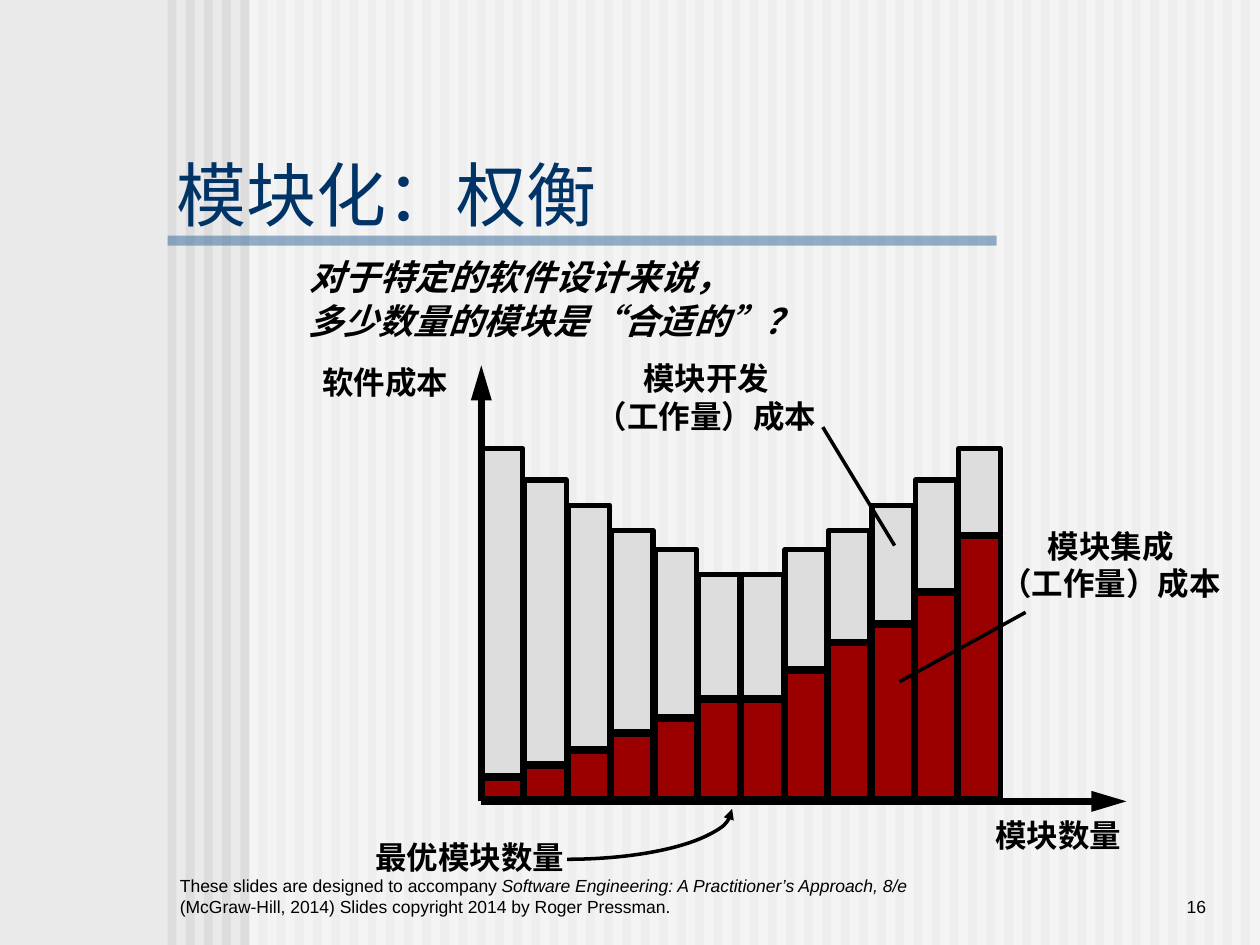
from lxml import etree
from pptx import Presentation
from pptx import util as u
from pptx.dml.color import RGBColor
from pptx.enum import shapes, text
from pptx.oxml import ns

WIDE, HIGH = 10, 7.5
INK, GREY, RED = "000000", "DDDDDD", "9A0000"
STRIPES, LEFT, STEP, THIN = 60, 1.33, 0.1444, 0.07
# Bar grid: first column, column pitch, bar width and foot of the bars
START, PITCH, BAR, BASE = 3.82, 0.3445, 0.33, 6.34
HALF = [3.56, 3.81, 4.01, 4.21, 4.36, 4.56]
TOPS = HALF + HALF[::-1]
SPLITS = [6.18, 6.08, 5.96, 5.83, 5.71, 5.56, 5.56, 5.33, 5.11, 4.96, 4.71, 4.26]
GAP = 0.02


def paint(fmt, color, alpha=None):
    """Give a fill a solid colour, with an opacity in percent if wanted."""
    fmt.solid()
    fmt.fore_color.rgb = RGBColor.from_string(color)
    if alpha:
        node = fmt._xPr.find(".//" + ns.qn("a:srgbClr"))
        etree.SubElement(node, ns.qn("a:alpha")).set("val", str(alpha * 1000))


def place(shape, x, y, w, h):
    shape.left, shape.top = u.Inches(x), u.Inches(y)
    shape.width, shape.height = u.Inches(w), u.Inches(h)


def rect(slide, x, y, w, h, color, alpha=None, edge=None):
    box = slide.shapes.add_shape(shapes.MSO_SHAPE.RECTANGLE, 0, 0, 0, 0)
    place(box, x, y, w, h)
    box.shadow.inherit = False
    paint(box.fill, color, alpha)
    if edge:
        stroke(box.line, edge)
    else:
        box.line.fill.background()


def stroke(line, width):
    paint(line.fill, INK)
    line.width = u.Pt(width)


def arrow(line, end, size="med"):
    """Add an arrowhead; end is headEnd (start) or tailEnd (finish)."""
    ln = line.fill._xPr
    etree.SubElement(ln, ns.qn("a:" + end), type="triangle", w="med", len=size)


def link(slide, x1, y1, x2, y2, width=2, tip=False):
    ends = [u.Inches(n) for n in (x1, y1, x2, y2)]
    line = slide.shapes.add_connector(shapes.MSO_CONNECTOR.STRAIGHT, *ends)
    stroke(line.line, width)
    if tip:
        arrow(line.line, "tailEnd", "lg")
    etree.SubElement(line._element.spPr, ns.qn("a:effectLst"))


def style(para, size, color=INK, bold=False, slant=False, align="LEFT"):
    para.alignment = getattr(text.PP_ALIGN, align)
    font = para.font
    font.name, font.size = "Arial", u.Pt(size)
    font.bold, font.italic = bold, slant
    font.color.rgb = RGBColor.from_string(color)


def label(slide, x, y, w, h, lines, size=18, wrap=False, **look):
    box = slide.shapes.add_textbox(0, 0, 0, 0)
    place(box, x, y, w, h)
    frame = box.text_frame
    frame.word_wrap = wrap
    frame.text = "\n".join(lines)
    if wrap:
        frame.vertical_anchor = text.MSO_ANCHOR.BOTTOM
    else:
        frame.auto_size = text.MSO_AUTO_SIZE.SHAPE_TO_FIT_TEXT
    for para in frame.paragraphs:
        style(para, size, **look)
    return frame


def backdrop(slide):
    paint(slide.background.fill, "EAEAEA")
    for i in range(STRIPES):
        rect(slide, LEFT + i * STEP, 0, THIN, HIGH, GREY)
    rect(slide, 1.98, 0, WIDE - 1.98, HIGH, "FFFFFF", 50)
    rect(slide, LEFT, 1.87, 6.58, 0.08, "336699", 50)


def heading(slide, words):
    title = slide.shapes.title
    place(title, LEFT, 1.17, 3.51, 0.73)
    # Bring the title in front of the backdrop
    title.element.getparent().append(title.element)
    frame = title.text_frame
    frame.text = words
    frame.auto_size = text.MSO_AUTO_SIZE.NONE
    frame.vertical_anchor = text.MSO_ANCHOR.MIDDLE
    frame.margin_left = frame.margin_right = u.Inches(0.07)
    frame.margin_top = frame.margin_bottom = u.Inches(0.03)
    style(frame.paragraphs[0], 40, "003366")


def bars(slide):
    for i, (top, split) in enumerate(zip(TOPS, SPLITS)):
        x = START + i * PITCH
        rect(slide, x, top, BAR, split - GAP - top, GREY, edge=3)
        rect(slide, x, split, BAR, BASE - split, RED, edge=3)


def curve(slide):
    """Quarter ellipse from the best column down to its label."""
    arc = slide.shapes.add_shape(shapes.MSO_SHAPE.ARC, 0, 0, 0, 0)
    place(arc, 3.19, 6.02, 2.62, 0.8)
    arc.adjustments[0], arc.adjustments[1] = 0, 54  # 0 to 90 degrees
    arc.shadow.inherit = False
    arc.fill.background()
    stroke(arc.line, 2)
    arrow(arc.line, "headEnd")


def footer(slide):
    frame = label(slide, LEFT, 6.83, 6, 0.5,
                  ["These slides are designed to accompany "], 10, True)
    para = frame.paragraphs[0]
    book = para.add_run()
    book.text = "Software Engineering: A Practitioner’s Approach, 8/e "
    book.font.italic = True
    para.add_run().text = "(McGraw-Hill, 2014) Slides copyright 2014 by Roger Pressman."
    label(slide, 8.25, 6.83, 1.42, 0.5, ["16"], 10, True, align="RIGHT")


def main():
    deck = Presentation()
    deck.slide_width, deck.slide_height = u.Inches(WIDE), u.Inches(HIGH)
    slide = deck.slides.add_slide(deck.slide_layouts[5])
    backdrop(slide)
    footer(slide)
    heading(slide, "模块化：权衡")

    # Question
    label(slide, 2.36, 1.98, 3.54, 0.43, ["对于特定的软件设计来说，"], 20, bold=True, slant=True)
    label(slide, 2.35, 2.33, 4.17, 0.43, ["多少数量的模块是“合适的”？"], 20, bold=True, slant=True)

    # Bars and axes
    bars(slide)
    link(slide, START, 6.36, 8.94, 6.36, 4, True)
    link(slide, START, 6.36, START, 2.9, 4, True)

    # Labels with their pointers
    label(slide, 2.46, 2.83, 1.2, 0.4, ["软件成本"], bold=True)
    label(slide, 7.8, 6.43, 1.2, 0.4, ["模块数量"], bold=True)
    label(slide, 2.88, 6.6, 1.7, 0.4, ["最优模块数量"], bold=True)
    for x, y, name in ((4.63, 2.8, "模块开发"), (7.84, 4.13, "模块集成")):
        label(slide, x, y, 1.95, 0.7, [name, "（工作量）成本"], bold=True, align="CENTER")
    link(slide, 6.53, 3.39, 7.1, 4.33)
    link(slide, 8.14, 4.86, 7.14, 5.41)
    curve(slide)
    deck.save("out.pptx")


if __name__ == "__main__":
    main()
